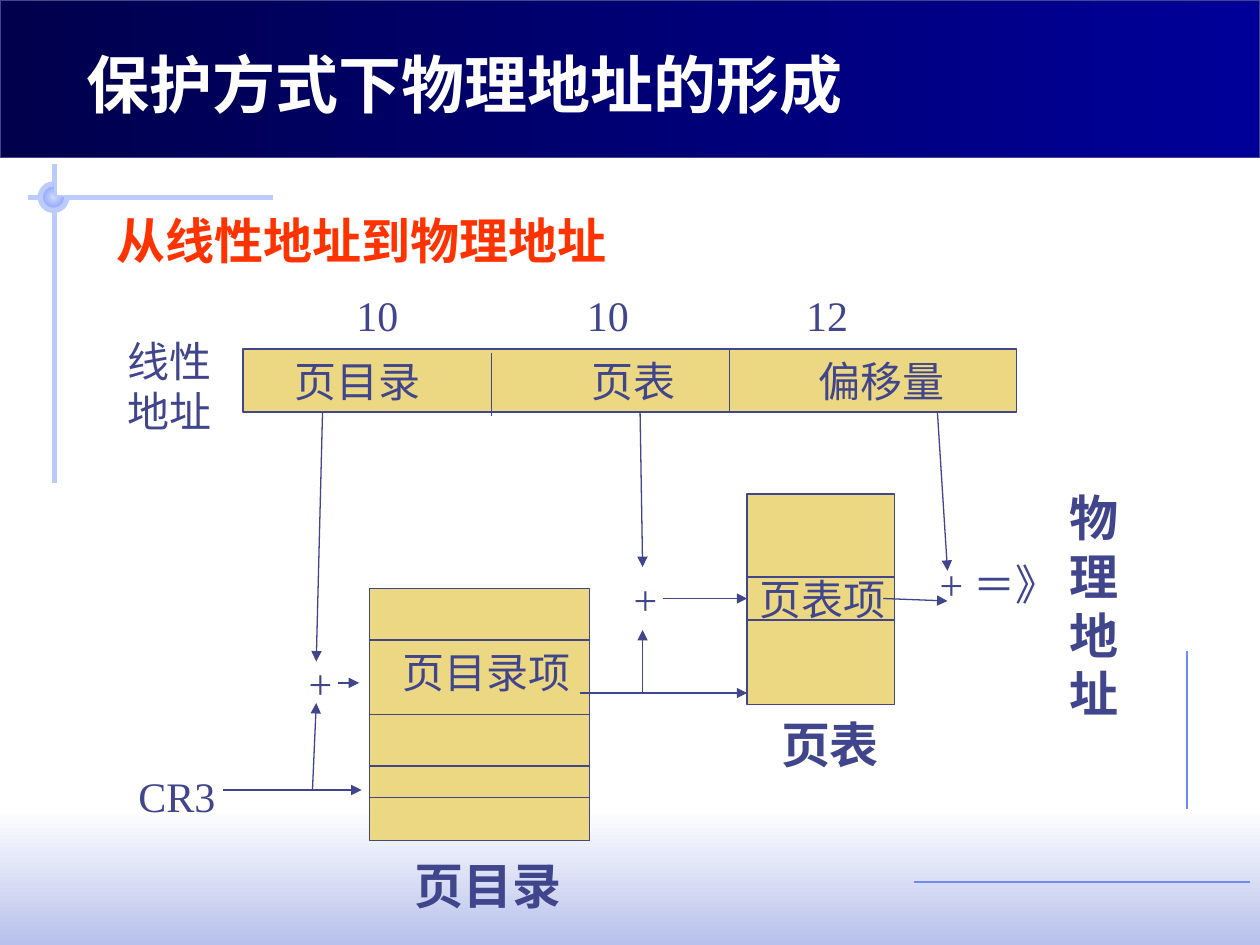
"""Build the slide on forming physical addresses in protected mode."""
from dataclasses import dataclass
from lxml import etree
from pptx import Presentation
from pptx.dml.color import RGBColor as Rgb
from pptx.enum import shapes, text
from pptx.oxml import ns
from pptx.util import Inches, Pt


@dataclass(frozen=True)
class Theme:
    font: str = "Times New Roman"
    ink: str = "40458C"
    gold: str = "ECD882"
    red: str = "FF3300"
    white: str = "FFFFFF"
    navy: str = "00004D"
    blue: str = "000099"
    mist: str = "B7C1EB"
    pale: str = "CFDBFD"
    soft: str = "BBCBFD"
    sky: str = "6F89F7"
    small: int = 24
    large: int = 28
    head: int = 36


theme = Theme()
deck = Presentation()
deck.slide_width, deck.slide_height = Inches(10), Inches(7.5)
slide = deck.slides.add_slide(deck.slide_layouts[5])
tree = slide.shapes
kinds = shapes.MSO_SHAPE


def write(box, words, size, color, bold, wrap=False):
    frame = box.text_frame
    frame.word_wrap = wrap
    frame.text = words
    para = frame.paragraphs[0]
    para.alignment = text.PP_ALIGN.LEFT
    para.font.name, para.font.size = theme.font, Pt(size)
    para.font.bold = bold
    para.font.color.rgb = Rgb.from_string(color)


def rule(ends, color=theme.ink, width=0.75, arrow=False):
    line = tree.add_connector(shapes.MSO_CONNECTOR.STRAIGHT, *map(Inches, ends))
    line.line.color.rgb = Rgb.from_string(color)
    line.line.width = Pt(width)
    if arrow:
        tip = etree.SubElement(line.line._get_or_add_ln(), ns.qn("a:tailEnd"))
        tip.set("type", "triangle")
    etree.SubElement(line._element.spPr, ns.qn("a:effectLst"))


# kind, place, start and end colour, angle, outline
bands = [
    (kinds.RECTANGLE, (0, 6.42, 10, 1.08), theme.white, theme.mist, 270, None),
    (kinds.RECTANGLE, (0, 0, 10, 1.25), theme.navy, theme.blue, 0, theme.ink),
    (kinds.PIE, (0.32, 1.46, 0.21, 0.21), theme.pale, theme.sky, None, None),
]
rule((9.42, 5.17, 9.42, 7.33), theme.sky)
rule((2.17, 1.57, 0.22, 1.57), theme.soft, 3)
rule((0.43, 1.3, 0.43, 3.83), theme.soft, 3)
for kind, place, start, end, angle, edge in bands:
    band = tree.add_shape(kind, *map(Inches, place))
    band.shadow.inherit = False
    band.fill.gradient()
    for stop, color in zip(band.fill.gradient_stops, (start, end)):
        stop.color.rgb = Rgb.from_string(color)
    if angle is None:
        grad = band._element.spPr.find(ns.qn("a:gradFill"))
        grad.remove(grad.find(ns.qn("a:lin")))
        path = etree.SubElement(grad, ns.qn("a:path"), path="circle")
        etree.SubElement(path, ns.qn("a:fillToRect"),
                         dict.fromkeys("ltrb", "50000"))
    else:
        band.fill.gradient_angle = angle
    if edge:
        band.line.color.rgb = Rgb.from_string(edge)
        band.line.width = Pt(0.75)
    else:
        band.line.fill.background()

ring = tree.add_shape(kinds.ARC, *map(Inches, (0.32, 1.46, 0.21, 0.21)))
ring.shadow.inherit = False
ring.adjustments[0], ring.adjustments[1] = 0, 162
ring.fill.background()
ring.line.color.rgb = Rgb.from_string(theme.soft)
ring.line.width = Pt(3)
rule((7.25, 7, 9.92, 7), theme.sky)

title = tree.title
title.left, title.top, title.width, title.height = map(
    Inches, (0.59, 0.31, 6.26, 0.71))
write(title, "保护方式下物理地址的形成", theme.head, theme.white, True)
tree._spTree.append(title._element)

# place, then heights of the row dividers
tables = [
    ((1.93, 2.77, 6.14, 0.5), ()),
    ((2.93, 4.67, 1.75, 2), (5.08, 5.67, 6.08, 6.33)),
    ((5.93, 3.92, 1.17, 1.67), (4.58, 4.92)),
]
for place, rows in tables:
    box = tree.add_shape(kinds.RECTANGLE, *map(Inches, place))
    box.shadow.inherit = False
    box.fill.solid()
    box.fill.fore_color.rgb = Rgb.from_string(theme.gold)
    box.line.color.rgb = Rgb.from_string(theme.ink)
    box.line.width = Pt(0.75)
    for y in rows:
        rule((place[0], y, place[0] + place[2], y))
rule((5.79, 2.77, 5.79, 3.27))
rule((3.9, 2.8, 3.9, 3.3))

arrows = [
    (2.56, 3.27, 2.51, 5.25), (5.08, 3.27, 5.1, 4.5), (7.44, 3.27, 7.52, 4.53),
    (1.77, 6.27, 2.87, 6.27), (2.48, 6.27, 2.51, 5.58), (2.68, 5.42, 2.85, 5.42),
    (4.6, 5.5, 5.93, 5.5), (5.1, 5.5, 5.1, 5), (5.26, 4.75, 5.93, 4.75),
    (7.01, 4.75, 7.52, 4.77),
]
for ends in arrows:
    rule(ends, arrow=True)

labels = [
    ("页目录", 2.24, 2.77, 1.2), ("页表", 4.6, 2.77, 0.87),
    ("偏移量", 6.4, 2.77, 1.2), ("10", 2.73, 2.25, 0.53),
    ("10", 4.56, 2.25, 0.53), ("12", 6.3, 2.25, 0.53),
    ("页目录项", 3.1, 5.08, 1.53), ("页表项", 5.93, 4.5, 1.2),
    ("CR3", 1, 6.07, 0.81), ("+", 2.35, 5.17, 0.39), ("+", 4.93, 4.5, 0.39),
]
for words, x, y, w in labels:
    box = tree.add_textbox(*map(Inches, (x, y, w, 0.5)))
    write(box, words, theme.small, theme.ink, False)

heads = [
    ("从线性地址到物理地址", 0.83, 1.62, 4.09, theme.red),
    ("页目录", 3.19, 6.74, 1.37, theme.ink),
    ("页表", 6.1, 5.62, 0.98, theme.ink),
]
for words, x, y, w, color in heads:
    box = tree.add_textbox(*map(Inches, (x, y, w, 0.57)))
    write(box, words, theme.large, color, True)

wraps = [
    ("线性地址", (0.91, 2.61, 1.05, 0.9), theme.small, False),
    ("+ ＝》", (7.36, 4.38, 1.34, 0.5), theme.small, False),
    ("物理地址", (8.39, 3.82, 0.63, 1.97), theme.large, True),
]
for words, place, size, bold in wraps:
    box = tree.add_textbox(*map(Inches, place))
    write(box, words, size, theme.ink, bold, wrap=True)

deck.save("out.pptx")
